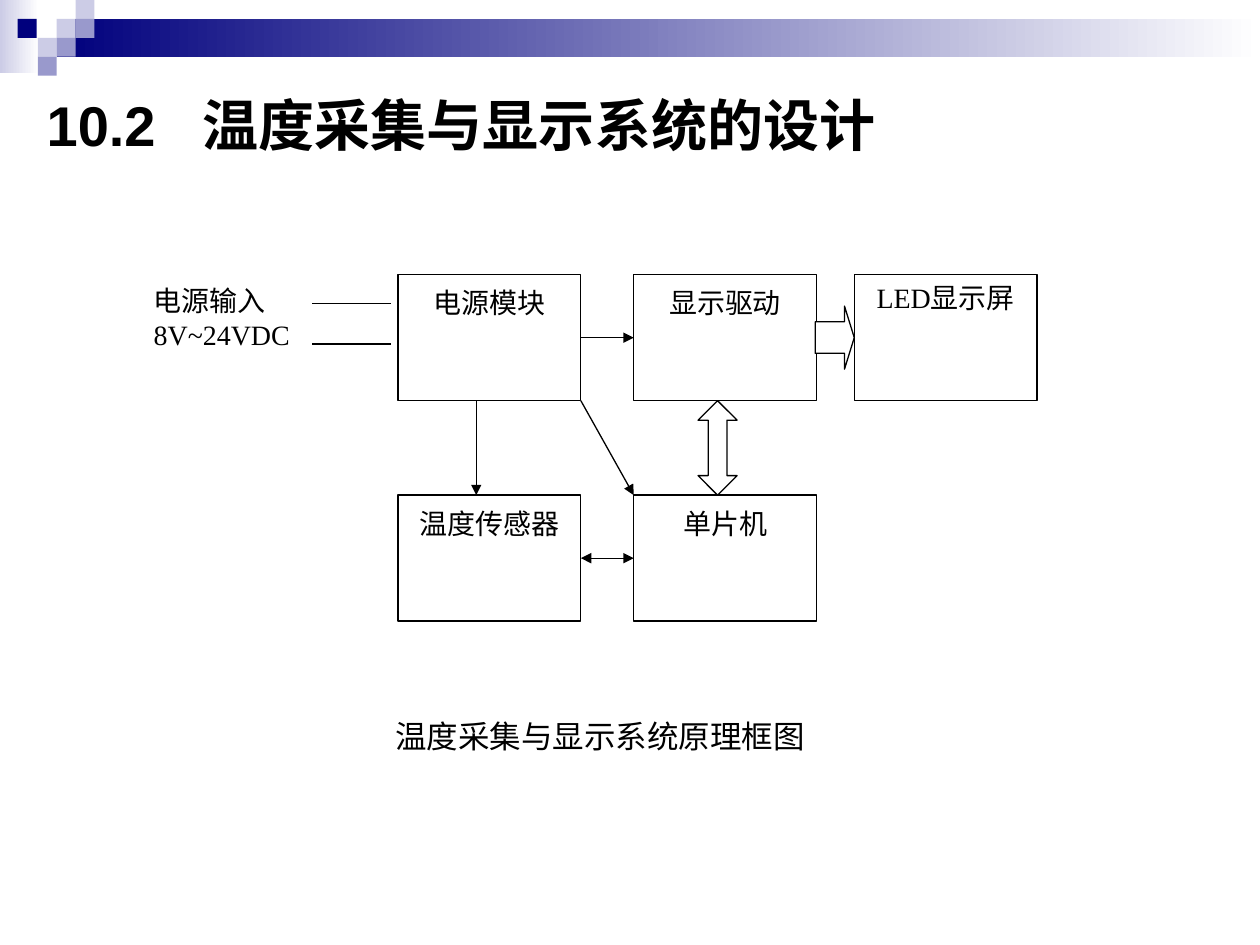
from typing import NamedTuple

from lxml.etree import SubElement
from pptx import Presentation
from pptx.dml.color import RGBColor
from pptx.enum.shapes import MSO_CONNECTOR, MSO_SHAPE
from pptx.enum.text import MSO_ANCHOR, MSO_AUTO_SIZE, PP_ALIGN
from pptx.oxml.ns import qn
from pptx.util import Inches, Pt

BLACK = RGBColor(0x00, 0x00, 0x00)
WHITE = RGBColor(0xFF, 0xFF, 0xFF)
NAVY = RGBColor(0x00, 0x00, 0x7D)
LILAC = RGBColor(0xCC, 0xCC, 0xE6)
VIOLET = RGBColor(0x99, 0x99, 0xCC)

TILE = 0.15
BLOCK_WIDTH, BLOCK_HEIGHT = 1.45, 1.0
COLUMNS = (3.16, 5.03, 6.78)
TOP_ROW, BOTTOM_ROW = 2.18, 3.93
LINE_WIDTH = Pt(0.74)


class Area(NamedTuple):
    """A rectangle in inches."""
    left: float
    top: float
    width: float
    height: float


class Band(NamedTuple):
    """A header band fading from a colour to white."""
    area: Area
    color: RGBColor


class Tile(NamedTuple):
    """A small header square."""
    left: float
    top: float
    color: RGBColor


class Block(NamedTuple):
    """A labelled block of the diagram."""
    label: str
    left: float
    top: float
    inset: float = 0.09


class Link(NamedTuple):
    """A straight line with optional arrowheads."""
    start: tuple[float, float]
    end: tuple[float, float]
    heads: tuple[str, ...] = ()


class BlockArrow(NamedTuple):
    """A hollow arrow between two blocks."""
    kind: MSO_SHAPE
    area: Area
    head: float


BANDS = (
    Band(Area(0, 0, 0.31, 0.58), LILAC),
    Band(Area(0.45, 0.15, 9.55, 0.3), NAVY),
)
TILES = (
    Tile(0.45, 0.15, LILAC),
    Tile(0.6, 0, LILAC),
    Tile(0.6, 0.15, VIOLET),
    Tile(0.3, 0.3, LILAC),
    Tile(0.14, 0.15, NAVY),
    Tile(0.45, 0.3, VIOLET),
    Tile(0.3, 0.45, VIOLET),
)
BLOCKS = (
    Block("电源模块", COLUMNS[0], TOP_ROW),
    Block("温度传感器", COLUMNS[0], BOTTOM_ROW),
    Block("单片机", COLUMNS[1], BOTTOM_ROW),
    Block("显示驱动", COLUMNS[1], TOP_ROW),
    Block("LED显示屏", COLUMNS[2], TOP_ROW, 0.05),
)
POWER_RIGHT = COLUMNS[0] + BLOCK_WIDTH
TOP_MIDDLE = TOP_ROW + BLOCK_HEIGHT / 2
BOTTOM_MIDDLE = BOTTOM_ROW + BLOCK_HEIGHT / 2
TOP_EDGE = TOP_ROW + BLOCK_HEIGHT
LINKS = (
    Link((3.78, TOP_EDGE), (3.78, BOTTOM_ROW), ("tailEnd",)),
    Link((POWER_RIGHT, TOP_MIDDLE), (COLUMNS[1], TOP_MIDDLE), ("tailEnd",)),
    Link((POWER_RIGHT, TOP_EDGE), (COLUMNS[1], BOTTOM_ROW), ("tailEnd",)),
    Link((POWER_RIGHT, BOTTOM_MIDDLE), (COLUMNS[1], BOTTOM_MIDDLE), ("headEnd", "tailEnd")),
    Link((2.48, 2.41), (3.1, 2.41)),
    Link((2.48, 2.73), (3.1, 2.73)),
)
BLOCK_ARROWS = (
    BlockArrow(MSO_SHAPE.UP_DOWN_ARROW, Area(5.54, TOP_EDGE, 0.31, 0.75), 0.48),
    BlockArrow(MSO_SHAPE.RIGHT_ARROW, Area(6.47, 2.43, 0.31, 0.5), 0.25),
)


def add_figure(page, kind: MSO_SHAPE, area: Area):
    """Add a preset shape without shadow."""
    shape = page.shapes.add_shape(kind, *map(Inches, area))
    shape.shadow.inherit = False
    return shape


def add_band(page, band: Band) -> None:
    """Add a band that fades to white on the right."""
    shape = add_figure(page, MSO_SHAPE.RECTANGLE, band.area)
    shape.line.fill.background()
    shape.fill.gradient()
    shape.fill.gradient_angle = 0
    for stop, color in zip(shape.fill.gradient_stops, (band.color, WHITE)):
        stop.color.rgb = color


def add_tile(page, tile: Tile) -> None:
    """Add one header square."""
    shape = add_figure(page, MSO_SHAPE.RECTANGLE, Area(tile.left, tile.top, TILE, TILE))
    shape.fill.solid()
    shape.fill.fore_color.rgb = tile.color
    shape.line.fill.background()


def add_outlined(page, kind: MSO_SHAPE, area: Area):
    """Add a white shape with a thin black outline."""
    shape = add_figure(page, kind, area)
    shape.fill.solid()
    shape.fill.fore_color.rgb = WHITE
    shape.line.color.rgb = BLACK
    shape.line.width = LINE_WIDTH
    return shape


def write(frame, text: str, font: str, size: float, align: PP_ALIGN,
          insets: tuple[float, float, float, float] = (0.1, 0.05, 0.1, 0.05),
          anchor: MSO_ANCHOR = MSO_ANCHOR.TOP, bold: bool = False) -> None:
    """Fill a text frame with evenly formatted paragraphs."""
    frame.margin_left, frame.margin_top, frame.margin_right, frame.margin_bottom = map(Inches, insets)
    frame.vertical_anchor = anchor
    frame.word_wrap = True
    frame.text = text
    for paragraph in frame.paragraphs:
        paragraph.alignment = align
        paragraph.font.name = font
        paragraph.font.size = Pt(size)
        paragraph.font.bold = bold
        paragraph.font.color.rgb = BLACK


def add_block(page, block: Block) -> None:
    """Add one labelled block."""
    area = Area(block.left, block.top, BLOCK_WIDTH, BLOCK_HEIGHT)
    shape = add_outlined(page, MSO_SHAPE.RECTANGLE, area)
    write(shape.text_frame, block.label, "Times New Roman", 16, PP_ALIGN.CENTER,
          (0.1, block.inset, 0.1, 0.05))


def add_link(page, link: Link) -> None:
    """Add one line with its arrowheads."""
    line = page.shapes.add_connector(MSO_CONNECTOR.STRAIGHT, *map(Inches, link.start + link.end))
    line.line.color.rgb = BLACK
    line.line.width = LINE_WIDTH
    properties = line._element.spPr
    for head in link.heads:
        SubElement(properties.find(qn("a:ln")), qn(f"a:{head}"), type="triangle")
    SubElement(properties, qn("a:effectLst"))


def add_block_arrow(page, arrow: BlockArrow) -> None:
    """Add one hollow arrow."""
    shape = add_outlined(page, arrow.kind, arrow.area)
    shape.adjustments[0] = 0.5
    shape.adjustments[1] = arrow.head


def set_title(page) -> None:
    """Place the title, with a tab stop after its number."""
    title = page.shapes.title
    title.left, title.top, title.width, title.height = map(Inches, Area(0.27, 0.36, 9.34, 1.25))
    frame = title.text_frame
    write(frame, "10.2\t温度采集与显示系统的设计", "Arial", 32, PP_ALIGN.LEFT,
          anchor=MSO_ANCHOR.MIDDLE, bold=True)
    frame.auto_size = MSO_AUTO_SIZE.NONE
    properties = frame.paragraphs[0]._p.get_or_add_pPr()
    tabs = SubElement(properties, qn("a:tabLst"))
    SubElement(tabs, qn("a:tab"), pos=str(Inches(1.24)), algn="l")
    properties.find(qn("a:defRPr")).addprevious(tabs)


def add_label(page, area: Area):
    """Add a text box and return its text frame."""
    return page.shapes.add_textbox(*map(Inches, area)).text_frame


deck = Presentation()
deck.slide_width, deck.slide_height = Inches(10), Inches(7.5)
page = deck.slides.add_slide(deck.slide_layouts[5])
for band in BANDS:
    add_band(page, band)
for tile in TILES:
    add_tile(page, tile)
set_title(page)
for block in BLOCKS:
    add_block(page, block)
for link in LINKS:
    add_link(page, link)
for arrow in BLOCK_ARROWS:
    add_block_arrow(page, arrow)
write(add_label(page, Area(1.22, 2.25, 1.14, 1)), "电源输入\n8V~24VDC", "Times New Roman", 16,
      PP_ALIGN.JUSTIFY, (0, 0, 0.02, 0))
write(add_label(page, Area(3.04, 5.64, 3.5, 0.4)), "温度采集与显示系统原理框图", "Arial", 18,
      PP_ALIGN.LEFT, anchor=MSO_ANCHOR.MIDDLE)
deck.save("out.pptx")
